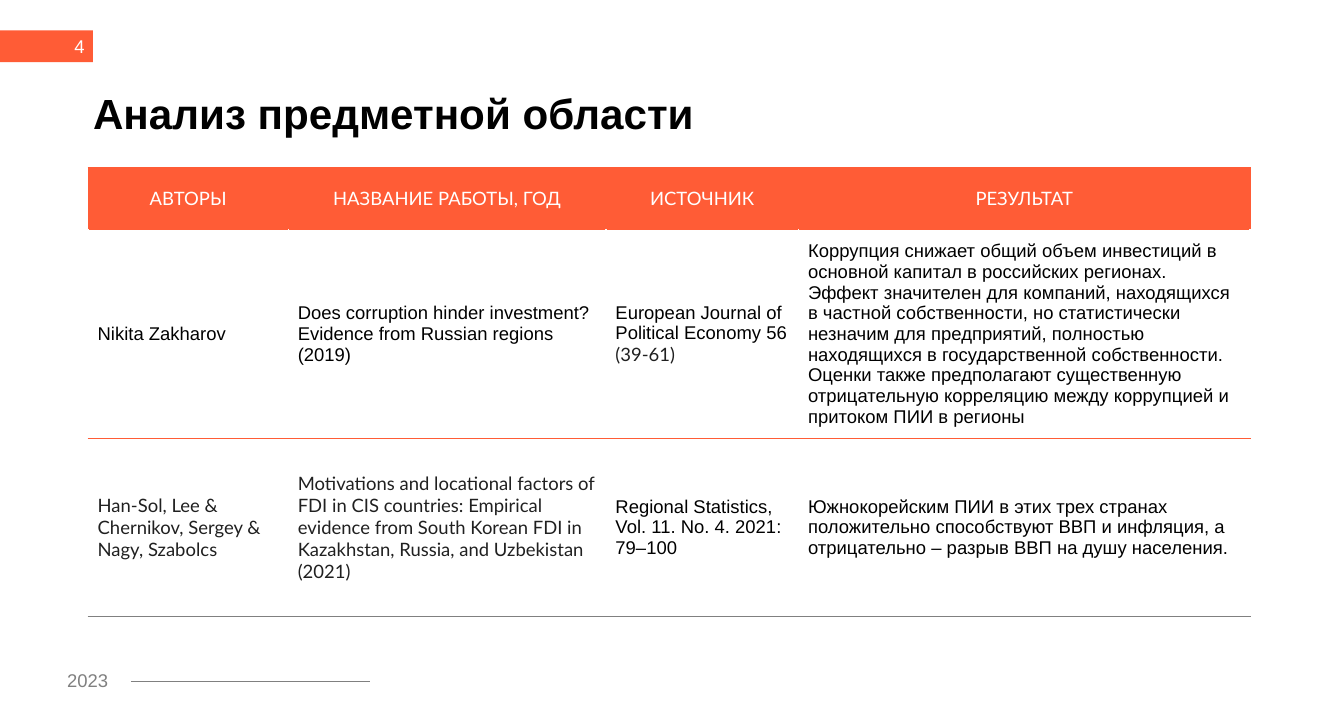
from collections import namedtuple

from lxml.etree import SubElement
from pptx import Presentation
from pptx.dml.color import RGBColor
from pptx.enum.shapes import MSO_CONNECTOR as Connector, MSO_SHAPE as Shape
from pptx.enum.text import MSO_ANCHOR as Anchor, MSO_AUTO_SIZE as AutoSize, PP_ALIGN as Align
from pptx.oxml.ns import qn
from pptx.util import Inches, Pt

ORANGE = RGBColor(0xFF, 0x5C, 0x36)
GRAY = RGBColor(0x80, 0x80, 0x80)
DARK = RGBColor(0x20, 0x20, 0x20)
BLACK = RGBColor(0, 0, 0)
WHITE = RGBColor(0xFF, 0xFF, 0xFF)

TextStyle = namedtuple("TextStyle", "font color size bold", defaults=(14, False))
TITLE = TextStyle("Arial", BLACK, 32, True)
HEADER = TextStyle("Lato", WHITE)
BODY = TextStyle("Arial", BLACK)
LATO_BODY = TextStyle("Lato", DARK)
YEAR = TextStyle("Arial", GRAY)
PAGE_NUMBER = TextStyle("Arial", WHITE)

COLUMN_WIDTHS = [14.89, 23.64, 14.33, 33.59]
ROW_HEIGHTS = [8.69, 29.55, 25]
ROW_FILLS = [ORANGE, WHITE, WHITE]
ROW_EDGES = [(ORANGE, 1), (ORANGE, 1), (ORANGE, 1), (GRAY, 0.75)]

# Each cell is a list of (paragraph, style) pairs.
PAPERS = [
    [[(heading, HEADER)] for heading in ("АВТОРЫ", "НАЗВАНИЕ РАБОТЫ, ГОД", "ИСТОЧНИК", "РЕЗУЛЬТАТ")],
    [
        [("Nikita Zakharov", BODY)],
        [("Does corruption hinder investment? Evidence from Russian regions (2019)", BODY)],
        [("European Journal of Political Economy 56", BODY), ("(39-61)", LATO_BODY)],
        [("Коррупция снижает общий объем инвестиций в основной капитал в российских регионах. "
          "Эффект значителен для компаний, находящихся в частной собственности, но статистически "
          "незначим для предприятий, полностью находящихся в государственной собственности.", BODY),
         ("Оценки также предполагают существенную отрицательную корреляцию между коррупцией "
          "и притоком ПИИ в регионы", BODY)],
    ],
    [
        [("Han-Sol, Lee & Chernikov, Sergey & Nagy, Szabolcs", LATO_BODY)],
        [("Motivations and locational factors of FDI in CIS countries: Empirical evidence from "
          "South Korean FDI in Kazakhstan, Russia, and Uzbekistan (2021)", LATO_BODY)],
        [("Regional Statistics, Vol. 11. No. 4. 2021: 79–100", BODY)],
        [("Южнокорейским ПИИ в этих трех странах положительно способствуют ВВП и инфляция, "
          "а отрицательно – разрыв ВВП на душу населения.", BODY)],
    ],
]


class SlideBuilder:
    """Draws on one slide; lengths are percentages of the slide's width and height."""

    def __init__(self, deck):
        self.deck = deck
        self.slide = deck.slides.add_slide(deck.slide_layouts[5])
        self.shapes = self.slide.shapes

    def x(self, share):
        return round(self.deck.slide_width * share / 100)

    def y(self, share):
        return round(self.deck.slide_height * share / 100)

    def box(self, left, top, width, height):
        return self.x(left), self.y(top), self.x(width), self.y(height)

    def set_text(self, frame, paragraphs, align=Align.LEFT):
        frame.text = "\n".join(text for text, _ in paragraphs)
        for paragraph, (_, style) in zip(frame.paragraphs, paragraphs):
            paragraph.alignment = align
            for run in paragraph.runs:
                run.font.name = style.font
                run.font.size = Pt(style.size)
                run.font.bold = style.bold
                run.font.color.rgb = style.color

    def title(self, text, *place):
        heading = self.shapes.title
        heading.left, heading.top, heading.width, heading.height = self.box(*place)
        frame = heading.text_frame
        frame.margin_left = frame.margin_top = frame.margin_right = frame.margin_bottom = 0
        frame.vertical_anchor = Anchor.TOP
        frame.auto_size = AutoSize.NONE
        self.set_text(frame, [(text, TITLE)])
        frame.paragraphs[0].line_spacing = 0.9

    def rectangle(self, color, *place):
        block = self.shapes.add_shape(Shape.RECTANGLE, *self.box(*place))
        block.shadow.inherit = False
        block.fill.solid()
        block.fill.fore_color.rgb = color
        block.line.fill.background()

    def label(self, text, style, *place, align=Align.LEFT, anchor=Anchor.TOP):
        frame = self.shapes.add_textbox(*self.box(*place)).text_frame
        frame.word_wrap = True
        frame.vertical_anchor = anchor
        self.set_text(frame, [(text, style)], align)

    def rule(self, color, start, end, level):
        line = self.shapes.add_connector(
            Connector.STRAIGHT, self.x(start), self.y(level), self.x(end), self.y(level))
        line.line.color.rgb = color
        line.line.width = Pt(1.5)
        SubElement(line._element.spPr, qn("a:effectLst"))

    def border(self, cell, side, color, width):
        edge = SubElement(cell._tc.get_or_add_tcPr(), qn(f"a:ln{side}"), w=str(Pt(width)))
        SubElement(SubElement(edge, qn("a:solidFill")), qn("a:srgbClr"), val=str(color))

    def table(self, rows, left, top):
        place = self.box(left, top, sum(COLUMN_WIDTHS), sum(ROW_HEIGHTS))
        grid = self.shapes.add_table(len(rows), len(COLUMN_WIDTHS), *place).table
        grid.horz_banding = False
        for column, width in zip(grid.columns, COLUMN_WIDTHS):
            column.width = self.x(width)
        for r, row in enumerate(rows):
            grid.rows[r].height = self.y(ROW_HEIGHTS[r])
            for c, paragraphs in enumerate(row):
                cell = grid.cell(r, c)
                cell.vertical_anchor = Anchor.MIDDLE
                self.set_text(cell.text_frame, paragraphs, Align.LEFT if r else Align.CENTER)
                for side in "LR":
                    self.border(cell, side, ROW_FILLS[r], 1)
                self.border(cell, "T", *ROW_EDGES[r])
                self.border(cell, "B", *ROW_EDGES[r + 1])
                cell.fill.solid()
                cell.fill.fore_color.rgb = ROW_FILLS[r]


def main():
    deck = Presentation()
    deck.slide_width, deck.slide_height = Inches(14.17), Inches(7.48)
    page = SlideBuilder(deck)
    page.rectangle(ORANGE, 0, 4.28, 6.92, 4.5)
    page.label("4", PAGE_NUMBER, 1.27, 3.88, 5.72, 5.35, align=Align.RIGHT, anchor=Anchor.MIDDLE)
    page.title("Анализ предметной области", 6.92, 13.1, 73.89, 10.43)
    page.table(PAPERS, 6.56, 23.66)
    page.label("2023", YEAR, 4.3, 93.72, 4.73, 4.55)
    page.rule(GRAY, 9.74, 27.52, 96.12)
    deck.save("out.pptx")


if __name__ == "__main__":
    main()
